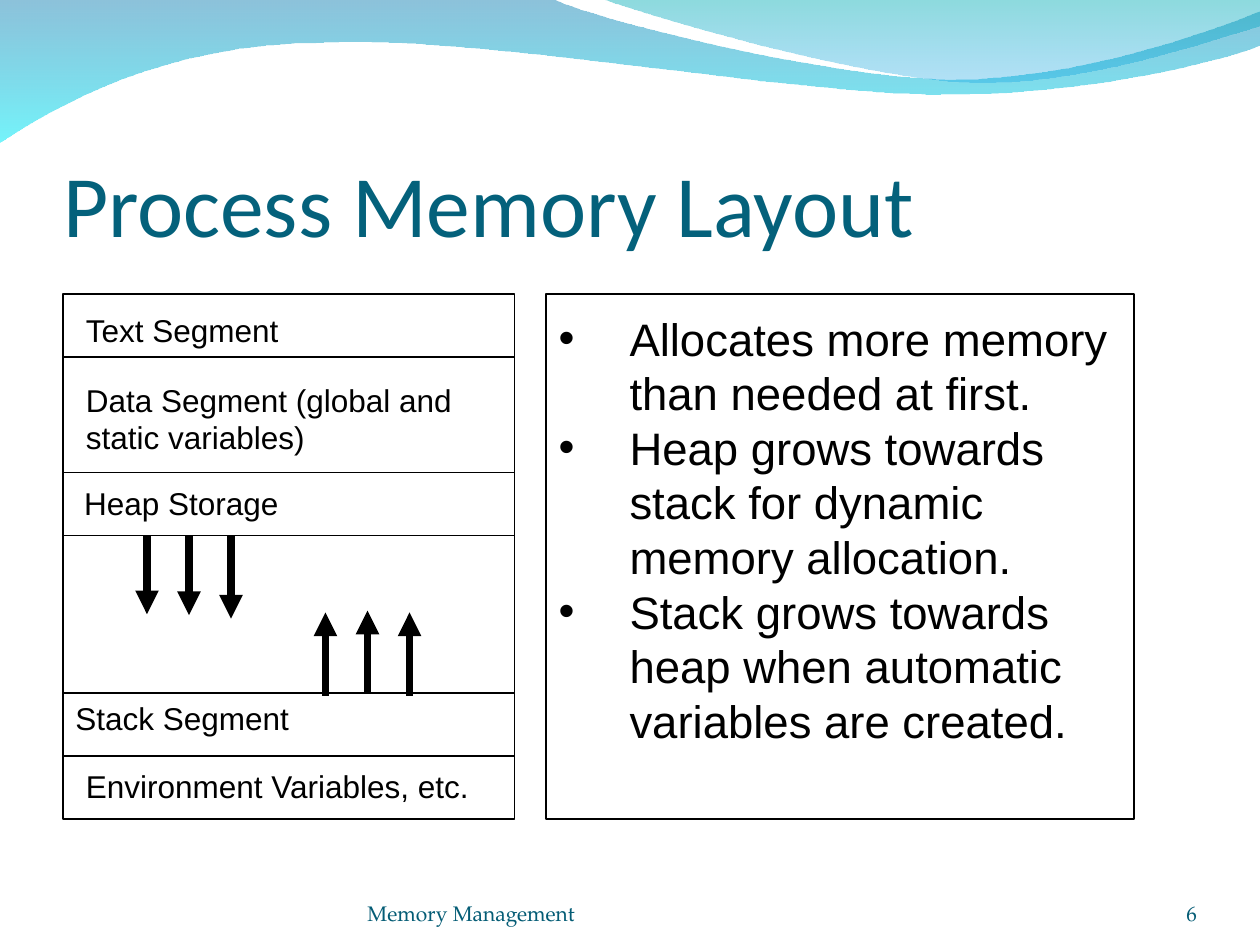
import pptx
import pptx.util
import pptx.dml.color
import pptx.enum.dml
import pptx.enum.shapes
import pptx.enum.text
import pptx.oxml
import pptx.oxml.ns
import lxml.etree

Pt = pptx.util.Pt
RGB = pptx.dml.color.RGBColor.from_string
ALIGN = pptx.enum.text.PP_ALIGN
ANCHOR = pptx.enum.text.MSO_ANCHOR
qn = pptx.oxml.ns.qn

COLORS = {
    "title": "04617B", "footer": "045C75", "ink": "000000",
    "deep": "0079AF", "cyan": "00EBF8", "teal": "00ADB6", "sky": "009BE5",
}


def write(box, text, size=18, font="Arial", color="ink", align=ALIGN.LEFT,
          anchor=ANCHOR.TOP, insets=(7.2, 3.6, 7.2, 3.6), before=0, indent=0):
    frame = box.text_frame
    frame.text = text
    frame.word_wrap = True
    frame.auto_size = pptx.enum.text.MSO_AUTO_SIZE.NONE
    frame.vertical_anchor = anchor
    frame.margin_left, frame.margin_top, frame.margin_right, frame.margin_bottom = map(Pt, insets)
    for paragraph in frame.paragraphs:
        paragraph.alignment = align
        paragraph.space_before = Pt(before)
        for run in paragraph.runs:
            run.font.size = Pt(size)
            run.font.name = font
            run.font.color.rgb = RGB(COLORS[color])
        if indent:
            properties = paragraph._p.get_or_add_pPr()
            properties.set("marL", str(Pt(indent)))
            properties.set("indent", str(-Pt(indent)))
            lxml.etree.SubElement(properties, qn("a:buChar"), char="•")


def draw_line(start, end, width, arrow=False):
    line = slide.shapes.add_connector(
        pptx.enum.shapes.MSO_CONNECTOR.STRAIGHT, *map(Pt, start + end))
    line.line.color.rgb = RGB(COLORS["ink"])
    line.line.width = Pt(width)
    if arrow:
        lxml.etree.SubElement(line.line._get_or_add_ln(), qn("a:tailEnd"), type="triangle")
    lxml.etree.SubElement(line._element.spPr, qn("a:effectLst"))


deck = pptx.Presentation()
deck.slide_width, deck.slide_height = Pt(720), Pt(540)
slide = deck.slides.add_slide(deck.slide_layouts[1])
title, growth_notes = slide.placeholders

waves = [
    ([[(0, 0)], [(316.8, 0)],
      [(342.7, 12.2), (478.1, 45.4), (545.8, 45.4)],
      [(614.2, 45.4), (689.8, 18.7), (720, 6.5)], [(720, 25.9)],
      [(707.8, 31.7), (626.4, 54.7), (537.1, 54)],
      [(447.8, 54), (275, 20.2), (185, 24.5)],
      [(92.9, 25.2), (33.1, 59.8), (0, 81.4)]],
     [("deep", 45), ("cyan", 55)]),
    ([[(344.9, 0)],
      [(366.5, 7.9), (491, 44.6), (553.7, 46.8)],
      [(616.3, 49.7), (691.9, 23), (720, 15.1)], [(720, 0)]],
     [("teal", 45), ("sky", 30)]),
]
for number, (segments, stops) in enumerate(waves):
    corners = [(Pt(x), Pt(y)) for segment in segments for x, y in segment]
    builder = slide.shapes.build_freeform(*corners[0], scale=1.0)
    builder.add_line_segments(corners[1:], close=True)
    wave = builder.convert_to_shape()
    wave.shadow.inherit = False
    wave.line.fill.background()
    wave.fill.gradient()
    wave.fill.gradient_angle = 270
    for stop, position, (color, opacity) in zip(wave.fill.gradient_stops, (0, 1), stops):
        stop.position = position
        stop.color.rgb = RGB(COLORS[color])
        tint = stop._gs.find(qn("a:srgbClr"))
        lxml.etree.SubElement(tint, qn("a:alpha"), val=str(opacity * 1000))
    legs = iter(list(wave._element.iter(qn("a:lnTo"))))
    for segment in segments[1:]:
        parts = [next(legs) for point in segment]
        if len(parts) == 3:
            curve = lxml.etree.Element(qn("a:cubicBezTo"))
            parts[0].addprevious(curve)
            for leg in parts:
                curve.append(leg[0])
                leg.getparent().remove(leg)
    wave._element.nvSpPr.cNvPr.set("id", str(20 + number))
    slide.slide_layout.shapes._spTree.insert(2 + number, wave._element)

title.left, title.top, title.width, title.height = map(Pt, (36, 55.5, 648, 90))
write(title, "Process Memory Layout", size=50, font="Calibri", color="title",
      anchor=ANCHOR.BOTTOM, insets=(0, 3.6, 0, 0))

growth_notes.left, growth_notes.top, growth_notes.width, growth_notes.height = map(
    Pt, (312, 174, 336, 257))
write(growth_notes,
      "Allocates more memory than needed at first.\n"
      "Heap grows towards stack for dynamic memory allocation.\n"
      "Stack grows towards heap when automatic variables are created.",
      size=26, indent=40.5)

for text, left, width, align in [("Memory Management", 210, 264, ALIGN.LEFT),
                                 ("6", 624, 60, ALIGN.RIGHT)]:
    footer = slide.shapes.add_textbox(Pt(left), Pt(500.5), Pt(width), Pt(28.5))
    write(footer, text, size=12, font="TeX Gyre Pagella", color="footer", align=align,
          anchor=ANCHOR.BOTTOM, insets=(0, 0, 0, 0))

for left, width, border in [(36, 258, 0.75), (312, 336, 1)]:
    panel = slide.shapes.add_shape(
        pptx.enum.shapes.MSO_SHAPE.RECTANGLE, Pt(left), Pt(168), Pt(width), Pt(300))
    panel.shadow.inherit = False
    panel.fill.background()
    panel.line.color.rgb = RGB(COLORS["ink"])
    panel.line.width = Pt(border)

for y in (204, 270, 306, 396, 432):
    draw_line((36, y), (294, y), 0.75)

segment_labels = [
    ("Text Segment", 42, 174, 150, 29),
    ("Data Segment (global and static variables)", 42, 214, 240, 50),
    ("Heap Storage", 41, 273, 240, 29),
    ("Stack Segment", 36, 396, 258, 62),
    ("Environment Variables, etc.", 42, 434.5, 240, 29),
]
for text, *bounds in segment_labels:
    label = slide.shapes.add_textbox(*map(Pt, bounds))
    write(label, text, before=11.2)

heap_tips = (351, 351.5, 353.5)
stack_spans = ((397.5, 350), (396.5, 349), (397.5, 350))
for column, (heap_tip, (stack_base, stack_tip)) in enumerate(zip(heap_tips, stack_spans)):
    heap_x, stack_x = 84 + 24 * column, 186 + 24 * column
    draw_line((heap_x, 306), (heap_x, heap_tip), 4.5, arrow=True)
    draw_line((stack_x, stack_base), (stack_x, stack_tip), 4.5, arrow=True)

deck.save("out.pptx")
